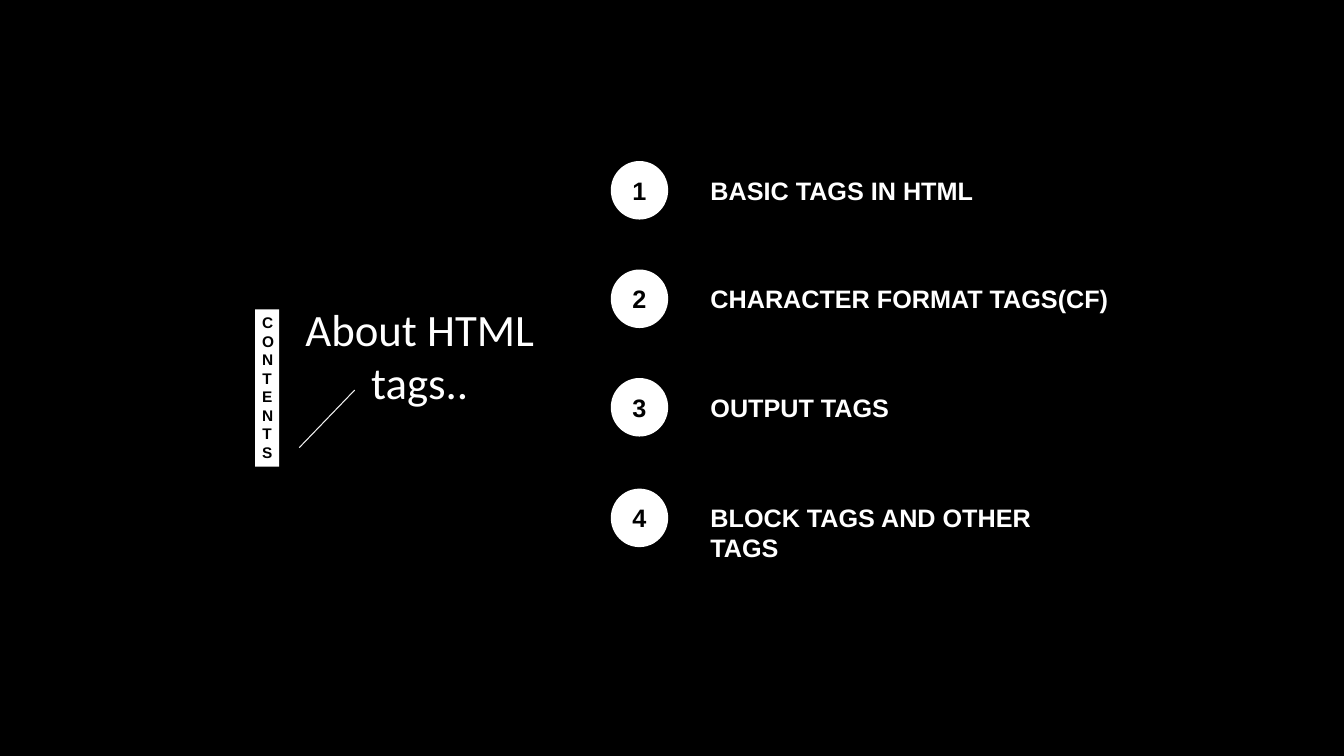
from lxml import etree
from pptx import Presentation
from pptx.dml.color import RGBColor
from pptx.enum import shapes, text
from pptx.oxml import ns
from pptx.util import Pt

TITLE = ["About HTML", "tags.."]
SIDE_LABEL = "CONTENTS"
TOPICS = [
    ("BASIC TAGS IN HTML", 115, 203),
    ("CHARACTER FORMAT TAGS(CF)", 192.5, 300),
    ("OUTPUT TAGS", 270, 143),
    ("BLOCK TAGS AND OTHER TAGS", 349, 295),
]
BLACK, WHITE, PALE = "000000", "FFFFFF", "F2F2F2"
LEFT, CENTER = text.PP_ALIGN.LEFT, text.PP_ALIGN.CENTER
TOP, MIDDLE = text.MSO_ANCHOR.TOP, text.MSO_ANCHOR.MIDDLE
CIRCLE_LEFT, CIRCLE_WIDTH, CIRCLE_HEIGHT = 436.3, 41, 41.8
LABEL_LEFT, LABEL_DROP, LABEL_HEIGHT = 500.4, 6.4, 29


def color(value):
    return RGBColor.from_string(value)


def write(shape, lines, size, font_name, font_color, bold, align, anchor, margins=(7.2, 3.6)):
    frame = shape.text_frame
    frame.word_wrap = True
    frame.auto_size = text.MSO_AUTO_SIZE.NONE
    frame.vertical_anchor = anchor
    frame.margin_left = frame.margin_right = Pt(margins[0])
    frame.margin_top = frame.margin_bottom = Pt(margins[1])
    frame.text = "\n".join(lines)
    for paragraph in frame.paragraphs:
        paragraph.alignment = align
        font = paragraph.font
        font.size, font.name, font.bold = Pt(size), font_name, bold
        font.color.rgb = color(font_color)


def add_white_shape(slide, kind, left, top, width, height):
    shape = slide.shapes.add_shape(kind, Pt(left), Pt(top), Pt(width), Pt(height))
    shape.shadow.inherit = False
    shape.fill.solid()
    shape.fill.fore_color.rgb = color(WHITE)
    shape.line.fill.background()
    return shape


def add_heading(slide):
    title = slide.shapes.title
    title.left, title.top, title.width, title.height = Pt(172.8), Pt(211.7), Pt(254.2), Pt(85)
    write(title, TITLE, 32, "Calibri", WHITE, False, CENTER, TOP)

    bar = add_white_shape(slide, shapes.MSO_SHAPE.RECTANGLE, 182.2, 221, 17.3, 112.3)
    write(bar, [SIDE_LABEL], 11, "Arial", BLACK, True, CENTER, TOP, (5, 2.9))

    line = slide.shapes.add_connector(
        shapes.MSO_CONNECTOR.STRAIGHT, Pt(253.4), Pt(278.6), Pt(213.8), Pt(319.7))
    line.line.color.rgb = color(PALE)
    line.line.width = Pt(0.75)
    etree.SubElement(line._element.spPr, ns.qn("a:effectLst"))


def add_topic(slide, number, topic, top, width):
    label = slide.shapes.add_textbox(
        Pt(LABEL_LEFT), Pt(top + LABEL_DROP), Pt(width), Pt(LABEL_HEIGHT))
    write(label, [topic], 18, "Arial", WHITE, True, LEFT, TOP)
    circle = add_white_shape(
        slide, shapes.MSO_SHAPE.OVAL, CIRCLE_LEFT, top, CIRCLE_WIDTH, CIRCLE_HEIGHT)
    write(circle, [str(number)], 18, "Arial", BLACK, True, CENTER, MIDDLE)


def main():
    presentation = Presentation()
    presentation.slide_width, presentation.slide_height = Pt(960), Pt(540)
    slide = presentation.slides.add_slide(presentation.slide_layouts[5])
    slide.background.fill.solid()
    slide.background.fill.fore_color.rgb = color(BLACK)
    add_heading(slide)
    for number, (topic, top, width) in enumerate(TOPICS, 1):
        add_topic(slide, number, topic, top, width)
    presentation.save("out.pptx")


if __name__ == "__main__":
    main()
